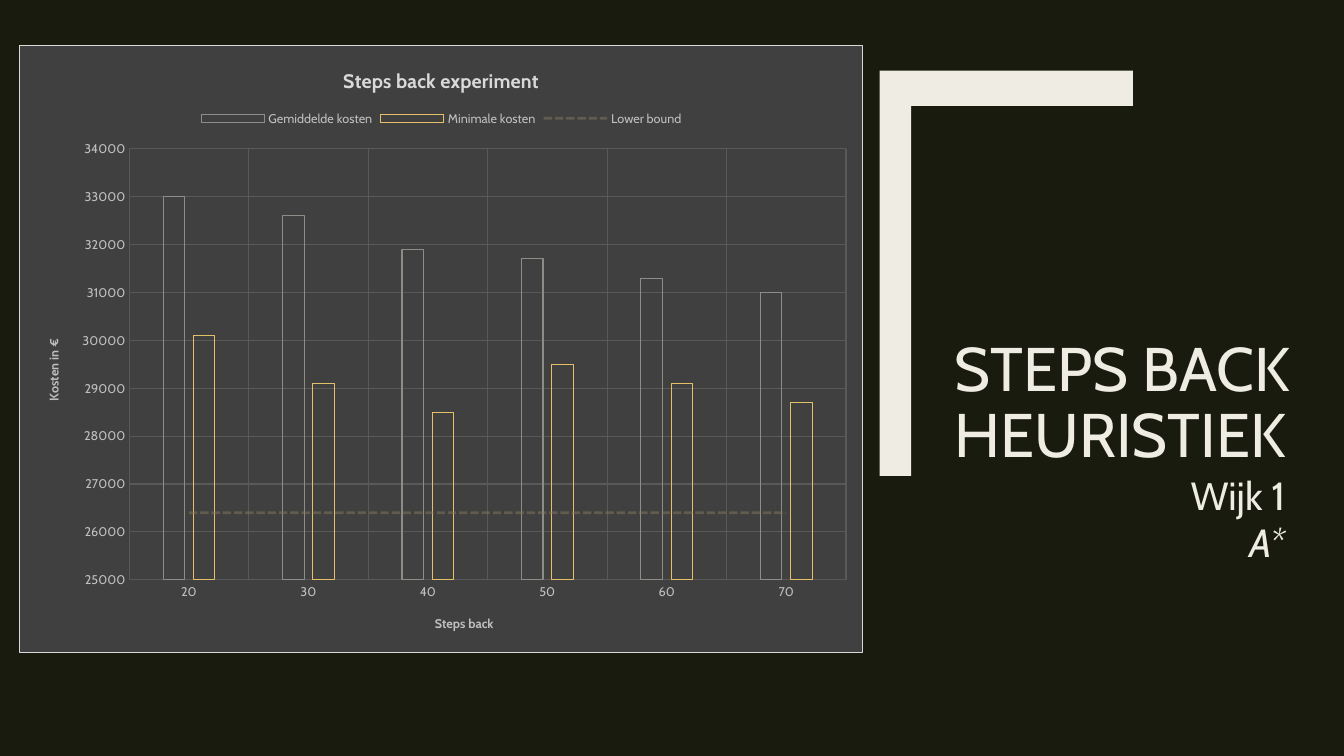
from lxml import etree
from pptx import Presentation
from pptx.chart.data import CategoryChartData
from pptx.dml.color import RGBColor
from pptx.enum import chart as ch, dml, text
from pptx.oxml import parse_xml
from pptx.oxml.ns import nsdecls, qn
from pptx.util import Cm, Pt

# Content
TITLE = "STEPS BACK HEURISTIEK"
SUBTITLE = [("Wijk 1", False), ("A*", True)]
CHART_TITLE = "Steps back experiment"
X_TITLE, Y_TITLE = "Steps back", "Kosten in €"
STEPS = ["20", "30", "40", "50", "60", "70"]
COSTS = {
    "Gemiddelde kosten": [33000, 32600, 31900, 31700, 31300, 31000],
    "Minimale kosten": [30100, 29100, 28500, 29500, 29100, 28700],
    "Lower bound": [26400] * len(STEPS),
}

# Look
FONT = "Cabin"
DARK = RGBColor(0x19, 0x1B, 0x0E)
CREAM = RGBColor(0xEF, 0xED, 0xE3)
PANEL = RGBColor(0x40, 0x40, 0x40)
GRID = RGBColor(0x59, 0x59, 0x59)
LABEL = RGBColor(0xBF, 0xBF, 0xBF)
PALE = RGBColor(0xD9, 0xD9, 0xD9)
WHITE = RGBColor(0xFF, 0xFF, 0xFF)
SERIES_LINES = [
    (RGBColor(0x8C, 0x8D, 0x86), 0.75),
    (RGBColor(0xE6, 0xC0, 0x69), 0.5),
    (RGBColor(0x89, 0x7B, 0x61), 2),
]
PLOT_AREA = {"x": 0.13, "y": 0.17, "w": 0.85, "h": 0.71}
BRACKET = [(22.17, 11.99), (22.17, 1.78), (28.55, 1.78),
           (28.55, 2.67), (22.96, 2.67), (22.96, 11.99)]


def set_font(font, size, color, bold=False):
    font.name, font.size, font.bold = FONT, Pt(size), bold
    font.color.rgb = color


def set_title(owner, wording, size, color):
    para = owner.text_frame.paragraphs[0]
    para.text = wording
    set_font(para.font, size, color, True)


def style_axis(axis, wording):
    axis.has_title = True
    set_title(axis.axis_title, wording, 9, LABEL)
    axis.major_tick_mark = axis.minor_tick_mark = ch.XL_TICK_MARK.NONE
    axis.format.line.fill.background()
    axis.has_major_gridlines = True
    grid = axis.major_gridlines.format.line
    grid.width = Pt(0.75)
    grid.color.rgb = GRID
    set_font(axis.tick_labels.font, 9, LABEL)


def move_to_line_plot(bar_chart, series):
    """Turn one column series into a line on the same axes."""
    line_chart = parse_xml(
        f'<c:lineChart {nsdecls("c")}><c:grouping val="stacked"/>'
        '<c:varyColors val="0"/><c:marker val="1"/></c:lineChart>')
    for axis_id in bar_chart.findall(qn("c:axId")):
        etree.SubElement(line_chart, qn("c:axId")).set("val", axis_id.get("val"))
    invert = series.find(qn("c:invertIfNegative"))
    if invert is not None:
        series.remove(invert)
    series.find(qn("c:spPr")).addnext(parse_xml(
        f'<c:marker {nsdecls("c")}><c:symbol val="none"/></c:marker>'))
    etree.SubElement(series, qn("c:smooth")).set("val", "0")
    line_chart.insert(2, series)
    bar_chart.addnext(line_chart)


def place_plot_area(plot_area):
    for old in plot_area.findall(qn("c:layout")):
        plot_area.remove(old)
    places = "".join(f'<c:{key} val="{value}"/>' for key, value in PLOT_AREA.items())
    plot_area.insert(0, parse_xml(
        f'<c:layout {nsdecls("c")}><c:manualLayout><c:layoutTarget val="inner"/>'
        f'<c:xMode val="edge"/><c:yMode val="edge"/>{places}'
        '</c:manualLayout></c:layout>'))


def add_cost_chart(page):
    data = CategoryChartData()
    data.categories = STEPS
    for name, values in COSTS.items():
        data.add_series(name, values)
    chart = page.shapes.add_chart(
        ch.XL_CHART_TYPE.COLUMN_CLUSTERED,
        Cm(0.48), Cm(1.14), Cm(21.28), Cm(15.32), data).chart
    set_font(chart.font, 10, WHITE)

    # Title, legend and axes
    chart.has_title = True
    set_title(chart.chart_title, CHART_TITLE, 14, PALE)
    chart.has_legend = True
    chart.legend.position = ch.XL_LEGEND_POSITION.TOP
    chart.legend.include_in_layout = False
    set_font(chart.legend.font, 9, LABEL)
    style_axis(chart.category_axis, X_TITLE)
    style_axis(chart.value_axis, Y_TITLE)
    chart.value_axis.minimum_scale = 25000
    chart.value_axis.maximum_scale = 34000
    chart.value_axis.major_unit = 1000

    # Outlined columns and a dashed lower bound
    plot = chart.plots[0]
    plot.gap_width, plot.overlap, plot.vary_by_categories = 315, -40, False
    for series, (color, width) in zip(plot.series, SERIES_LINES):
        series.format.fill.background()
        series.format.line.width = Pt(width)
        series.format.line.color.rgb = color
    bound = plot.series[2]
    bound.format.line.dash_style = dml.MSO_LINE.SQUARE_DOT
    tint = bound.format.line._ln.find(".//" + qn("a:srgbClr"))
    etree.SubElement(tint, qn("a:alpha")).set("val", "48000")
    bar_chart = chart._chartSpace.find(".//" + qn("c:barChart"))
    move_to_line_plot(bar_chart, bound._element)
    place_plot_area(bar_chart.getparent())

    # Panel behind the chart
    chart._chartSpace.find(qn("c:chart")).addnext(parse_xml(
        f'<c:spPr {nsdecls("c", "a")}><a:solidFill><a:srgbClr val="{PANEL}"/>'
        f'</a:solidFill><a:ln w="{Pt(0.75)}"><a:solidFill><a:srgbClr val="{PALE}"/>'
        '</a:solidFill></a:ln></c:spPr>'))


def add_bracket(page):
    points = [(Cm(x), Cm(y)) for x, y in BRACKET]
    builder = page.shapes.build_freeform(*points[0])
    builder.add_line_segments(points[1:], close=True)
    bracket = builder.convert_to_shape()
    bracket.shadow.inherit = False
    bracket.fill.solid()
    bracket.fill.fore_color.rgb = CREAM
    bracket.line.fill.background()


def add_heading(page):
    title = page.shapes.title
    title.left, title.top, title.width, title.height = (
        Cm(23.8), Cm(3.66), Cm(9.25), Cm(8.33))
    frame = title.text_frame
    frame.word_wrap = True
    frame.auto_size = text.MSO_AUTO_SIZE.NONE
    frame.vertical_anchor = text.MSO_ANCHOR.BOTTOM
    para = frame.paragraphs[0]
    para.text = TITLE
    para.alignment = text.PP_ALIGN.LEFT
    para.line_spacing = 0.89
    set_font(para.font, 44, CREAM)

    box = page.shapes.add_textbox(Cm(23.39), Cm(11.76), Cm(9.25), Cm(2.64))
    box.text_frame.word_wrap = True
    for number, (wording, italic) in enumerate(SUBTITLE):
        para = (box.text_frame.add_paragraph() if number
                else box.text_frame.paragraphs[0])
        para.text = wording
        para.alignment = text.PP_ALIGN.RIGHT
        set_font(para.font, 28, CREAM)
        para.font.italic = italic


def main():
    deck = Presentation()
    deck.slide_width, deck.slide_height = Cm(33.87), Cm(19.05)
    page = deck.slides.add_slide(deck.slide_layouts.get_by_name("Title Only"))
    page.background.fill.solid()
    page.background.fill.fore_color.rgb = DARK
    add_bracket(page)
    add_heading(page)
    add_cost_chart(page)
    deck.save("out.pptx")


if __name__ == "__main__":
    main()
